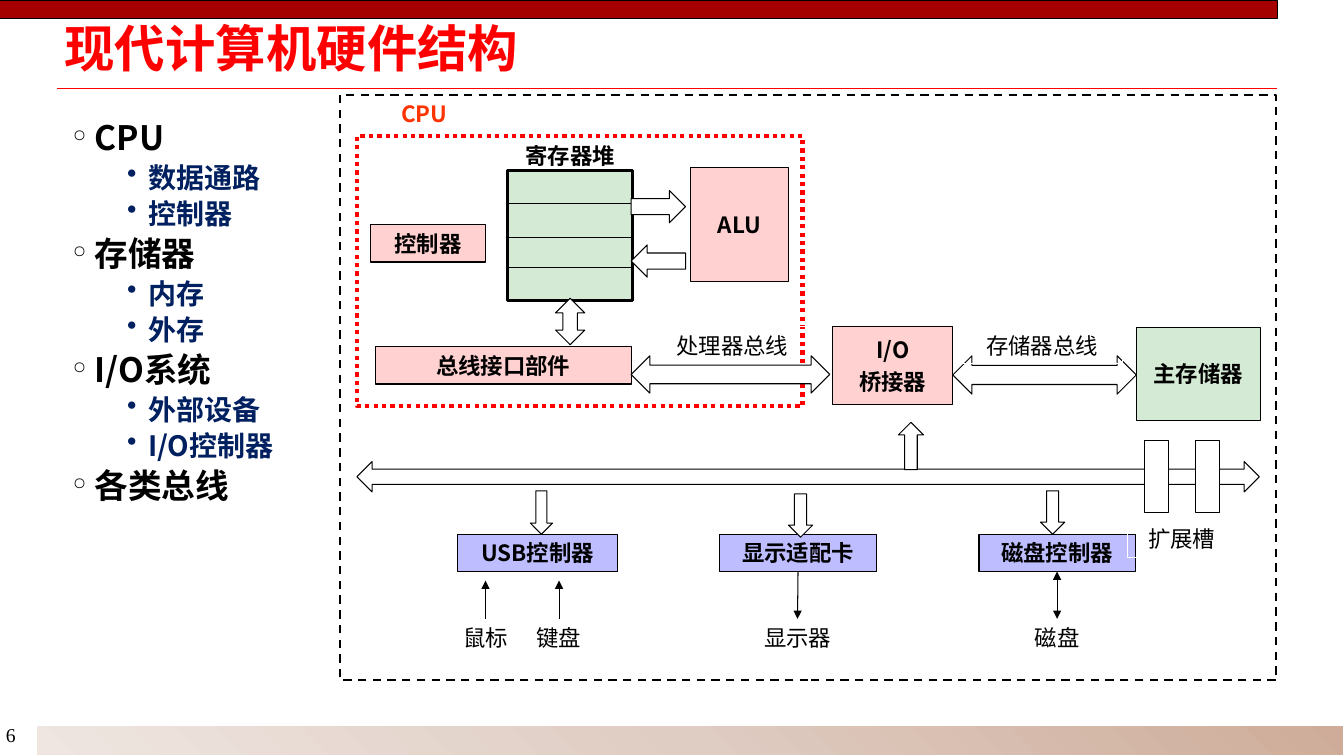
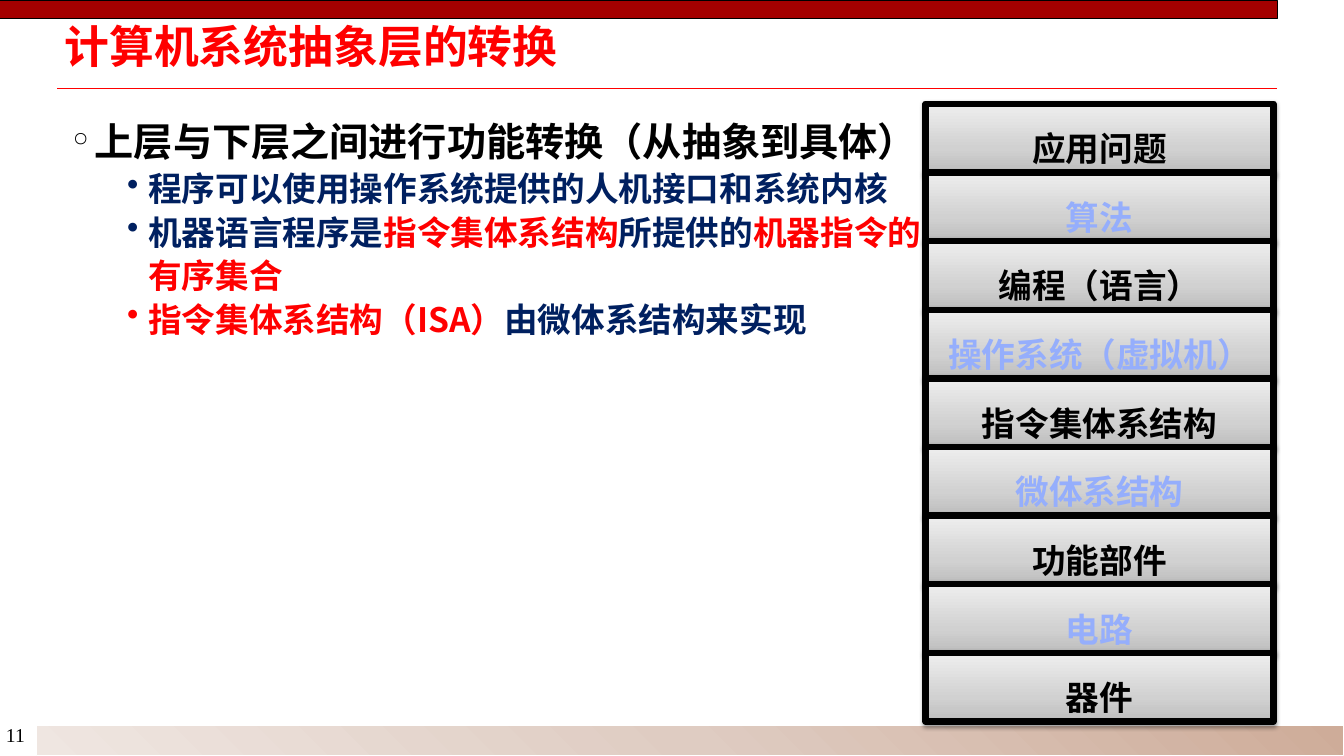
from pptx import Presentation
from pptx.dml.color import RGBColor
from pptx.enum.dml import MSO_LINE as Dash
from pptx.enum.shapes import MSO_CONNECTOR as Link, MSO_SHAPE as Kind
from pptx.enum.text import MSO_ANCHOR as Anchor, PP_ALIGN as Align
from pptx.oxml.ns import qn
from pptx.util import Inches, Pt
from lxml.etree import SubElement

BLACK = RGBColor(0x00, 0x00, 0x00)
WHITE = RGBColor(0xFF, 0xFF, 0xFF)
RED = RGBColor(0xFF, 0x00, 0x00)
MAROON = RGBColor(0xA4, 0x00, 0x00)
ORANGE = RGBColor(0xFF, 0x33, 0x00)
NAVY = RGBColor(0x00, 0x20, 0x60)
PINK = RGBColor(0xFF, 0xD1, 0xD1)
GREEN = RGBColor(0xD4, 0xEA, 0xD4)
LILAC = RGBColor(0xBD, 0xBD, 0xFF)
SKY = RGBColor(0x95, 0xAE, 0xFC)
BLUE = RGBColor(0x06, 0x3D, 0xE8)
SAND = [(0, RGBColor(0xCE, 0xAC, 0x99)), (50, RGBColor(0xDF, 0xCC, 0xC2)),
        (100, RGBColor(0xEF, 0xE6, 0xE1))]
STEEL = [(0, RGBColor(0xBD, 0xBD, 0xBD)), (35, RGBColor(0xD1, 0xD1, 0xD1)),
         (100, RGBColor(0xEE, 0xEE, 0xEE))]

SANS = "Noto Sans CJK SC"
SERIF = "Times New Roman"
CELL = 0.1  # grid cell in inches
TIGHT = dict(margin_left=Inches(0.07), margin_right=Inches(0.07),
             margin_top=Inches(0.03), margin_bottom=Inches(0.03))
BULLETS = [("°", 0.22, -0.22), ("•", 0.75, -0.21)]


def grid(*cells):
    return [Inches(round(cell * CELL, 3)) for cell in cells]


def apply(target, **values):
    for name, value in values.items():
        setattr(target, name, value)


def say(para, text, size=16, color=BLACK, bold=True, face=SANS):
    """Add a run, with the face set for Latin and East Asian letters."""
    run = para.add_run()
    run.text = text
    apply(run.font, size=Pt(size), bold=bold, name=face)
    run.font.color.rgb = color
    SubElement(run._r.get_or_add_rPr(), qn("a:ea"), typeface=face)
    return run


def shade(shape, stops, angle):
    """Fill with a linear gradient; stops are (percent, colour) pairs."""
    shape.fill.gradient()
    shape.fill.gradient_angle = angle
    items = shape._element.spPr.find(qn("a:gradFill")).find(qn("a:gsLst"))
    for item in list(items):
        items.remove(item)
    for share, color in stops:
        stop = SubElement(items, qn("a:gs"), pos=str(share * 1000))
        SubElement(stop, qn("a:srgbClr"), val=str(color))


def box(slide, cells, text="", kind=Kind.RECTANGLE, fill=None, line=BLACK,
        width=0.75, dash=None, **font):
    shape = slide.shapes.add_shape(kind, *grid(*cells))
    shape.shadow.inherit = False
    if fill is None:
        shape.fill.background()
    else:
        shape.fill.solid()
        shape.fill.fore_color.rgb = fill
    if line is None:
        shape.line.fill.background()
    else:
        shape.line.color.rgb = line
        apply(shape.line, width=Pt(width), dash_style=dash)
    if text:
        frame = shape.text_frame
        apply(frame, word_wrap=False, vertical_anchor=Anchor.MIDDLE)
        for index, part in enumerate(text.split("\n")):
            para = frame.add_paragraph() if index else frame.paragraphs[0]
            para.alignment = Align.CENTER
            if index:
                para.space_before = Pt(4)
            say(para, part, **font)
    return shape


def label(slide, cells, text):
    return box(slide, cells, text, line=WHITE, bold=False)


def arrow(slide, kind, *cells):
    return box(slide, cells, kind=kind, fill=WHITE)


def wire(slide, start, end, color=BLACK, width=0.75, tips=()):
    """Draw a straight line; an end is a grid point or a (shape, side) pair."""
    free = [(0, 0) if hasattr(p[0], "shape_id") else p for p in (start, end)]
    line = slide.shapes.add_connector(Link.STRAIGHT, *grid(*free[0], *free[1]))
    for point, join in ((start, line.begin_connect), (end, line.end_connect)):
        if hasattr(point[0], "shape_id"):
            join(*point)
    line.line.color.rgb = color
    line.line.width = Pt(width)
    for tip in tips:
        SubElement(line.line._get_or_add_ln(), qn("a:" + tip), type="triangle")
    SubElement(line._element.spPr, qn("a:effectLst"))


def start(deck, title, size, page):
    """Add a slide with the shared bands, rule, title and page number."""
    slide = deck.slides.add_slide(deck.slide_layouts[5])
    wire(slide, (5.7, 8.8), (126.7, 8.8), RED, 1)
    shade(box(slide, (3.6, 72, 129.7, 3), line=WHITE), SAND, 225)
    box(slide, (0, 0.1, 126.7, 1.7), fill=MAROON)
    note = slide.shapes.add_textbox(*grid(0, 71.2, 4, 3.4)).text_frame
    apply(note, word_wrap=False, margin_left=Inches(0.06), margin_right=0)
    say(note.paragraphs[0], page, 14, bold=False, face=SERIF)

    head = slide.shapes.title
    left, top, width, height = grid(5.7, 2.7, 120.2, 5.8)
    apply(head, left=left, top=top, width=width, height=height)
    apply(head.text_frame, vertical_anchor=Anchor.TOP, **TIGHT)
    para = head.text_frame.paragraphs[0]
    apply(para, alignment=Align.LEFT, line_spacing=0.77)
    say(para, title, size, RED)
    return slide


def outline(slide, cells, items, sizes):
    """Add a bulleted list of (level, runs); a run is (text, colour)."""
    frame = slide.shapes.add_textbox(*grid(*cells)).text_frame
    apply(frame, word_wrap=True, **TIGHT)
    for index, (level, runs) in enumerate(items):
        para = frame.add_paragraph() if index else frame.paragraphs[0]
        mark, left, hang = BULLETS[level]
        props = para._p.get_or_add_pPr()
        props.set("marL", str(Inches(left)))
        props.set("indent", str(Inches(hang)))
        SubElement(props, qn("a:buChar"), char=mark)
        apply(para, level=level, line_spacing=1.08)
        for text, color in runs:
            say(para, text, sizes[level], color)


def cpu(slide):
    box(slide, (35.4, 13.5, 44.2, 26.8), line=RED, width=3, dash=Dash.ROUND_DOT)
    box(slide, (37.3, 9.4, 9.6, 3.7), "CPU", line=None, color=ORANGE)
    box(slide, (36.7, 22.3, 11.5, 3.7), "控制器", fill=PINK)
    box(slide, (68.5, 16.6, 9.7, 11.3), "ALU", fill=PINK)
    box(slide, (49.5, 13.6, 14.1, 3.7), "寄存器堆", line=None)
    box(slide, (50.3, 16.9, 12.4, 12.9), fill=GREEN, width=2.25)
    for row in (20.2, 23.6, 26.5):
        wire(slide, (50.3, row), (62.7, row))
    arrow(slide, Kind.RIGHT_ARROW, 62.6, 18.9, 5.4, 3.2)
    arrow(slide, Kind.LEFT_ARROW, 62.6, 24.3, 5.4, 3.2)
    box(slide, (37.2, 34.4, 25.4, 3.7), "总线接口部件", fill=PINK)
    arrow(slide, Kind.UP_DOWN_ARROW, 55.1, 29.6, 2.9, 4.6)


def buses(slide):
    box(slide, (82.6, 32.4, 11.9, 7.7), "I/O\n桥接器", fill=PINK)
    box(slide, (112.7, 32.5, 12.3, 9.2), "主存储器", fill=GREEN)
    label(slide, (64.7, 32.4, 15.9, 3.7), "处理器总线")
    arrow(slide, Kind.LEFT_RIGHT_ARROW, 62.6, 35.3, 19.7, 3.7)
    arrow(slide, Kind.LEFT_RIGHT_ARROW, 94.5, 35.3, 18.2, 3.8)
    label(slide, (95.4, 32.4, 15.9, 3.7), "存储器总线")
    arrow(slide, Kind.LEFT_RIGHT_ARROW, 35.4, 45.8, 89.5, 3)
    arrow(slide, Kind.UP_ARROW, 89.1, 41.9, 2.5, 4.7)


def devices(slide):
    usb, video, disk = [
        box(slide, (left, 53, width, 3.7), text, fill=LILAC)
        for left, width, text in ((45.4, 15.8, "USB控制器"),
                                  (71.4, 15.5, "显示适配卡"),
                                  (97.1, 15.5, "磁盘控制器"))]
    for left, top, width in ((52.6, 48.7, 2.2), (78.2, 49, 2.4), (103.2, 48.7, 2.4)):
        arrow(slide, Kind.DOWN_ARROW, left, top, width, 4.3)
    for left, text in ((43.8, "鼠标"), (51.1, "键盘")):
        name = label(slide, (left, 61.4, 8.7, 3.7), text)
        wire(slide, (name, 0), (left + 4.35, 57.6), tips=["tailEnd"])
    for card, left, width, text, tips in (
            (video, 73.7, 10.8, "显示器", ["tailEnd"]),
            (disk, 100.5, 8.7, "磁盘", ["headEnd", "tailEnd"])):
        name = label(slide, (left, 61.4, width, 3.7), text)
        wire(slide, (card, 2), (name, 0), tips=tips)
    for left in (113.5, 118.6):
        box(slide, (left, 43.7, 2.4, 7.1), fill=WHITE)
    label(slide, (111.8, 51.6, 10.8, 3.7), "扩展槽")


def hardware(deck):
    slide = start(deck, "现代计算机硬件结构", 36, "6")
    topics = [("CPU", ["数据通路", "控制器"]), ("存储器", ["内存", "外存"]),
              ("I/O系统", ["外部设备", "I/O控制器"]), ("各类总线", [])]
    items = []
    for topic, parts in topics:
        items.append((0, [(topic, BLACK)]))
        items += [(1, [(part, NAVY)]) for part in parts]
    outline(slide, (6.5, 11, 26, 49), items, (24, 20))
    box(slide, (33.7, 9.4, 92.9, 58.1), width=1.5, dash=Dash.DASH)
    cpu(slide)
    buses(slide)
    devices(slide)


def layer(slide, row, text):
    """Add one level of the stack; every second one has outlined blue text."""
    tall = 6.81
    odd = row % 2
    shape = box(slide, (91.8, 10.3 + row * tall, 34.5, tall), text, width=4.5,
                size=24, color=SKY if odd else BLACK)
    shade(shape, STEEL, 90)
    para = shape.text_frame.paragraphs[0]
    para.line_spacing = 1.5
    glow = SubElement(shape._element.spPr.find(qn("a:effectLst")),
                      qn("a:outerShdw"), blurRad="40000", dist="20000",
                      dir="5400000", rotWithShape="0")
    tint = SubElement(glow, qn("a:srgbClr"), val=str(BLACK))
    SubElement(tint, qn("a:alpha"), val="38000")
    if odd:
        props = para.runs[0]._r.get_or_add_rPr()
        edge = SubElement(props, qn("a:ln"), w=str(Pt(1.75)))
        SubElement(SubElement(edge, qn("a:solidFill")), qn("a:srgbClr"), val=str(BLUE))
        props.insert(0, edge)


def levels(deck):
    slide = start(deck, "计算机系统抽象层的转换", 32, "11")
    outline(slide, (6.5, 11, 88.2, 27.7), [
        (0, [("上层与下层之间进行功能转换（从抽象到具体）", BLACK)]),
        (1, [("程序可以使用操作系统提供的人机接口和系统内核", NAVY)]),
        (1, [("机器语言程序是", NAVY), ("指令集体系结构", RED),
             ("所提供的", NAVY), ("机器指令的有序集合", RED)]),
        (1, [("指令集体系结构（ISA）", RED), ("由微体系结构来实现", NAVY)]),
    ], (28, 24))
    names = ["应用问题", "算法", "编程（语言）", "操作系统（虚拟机）", "指令集体系结构",
             "微体系结构", "功能部件", "电路", "器件"]
    for row, name in enumerate(names):
        layer(slide, row, name)


def main():
    deck = Presentation()
    apply(deck, slide_width=Inches(13.33), slide_height=Inches(7.5))
    hardware(deck)
    levels(deck)
    deck.save("out.pptx")


if __name__ == "__main__":
    main()
